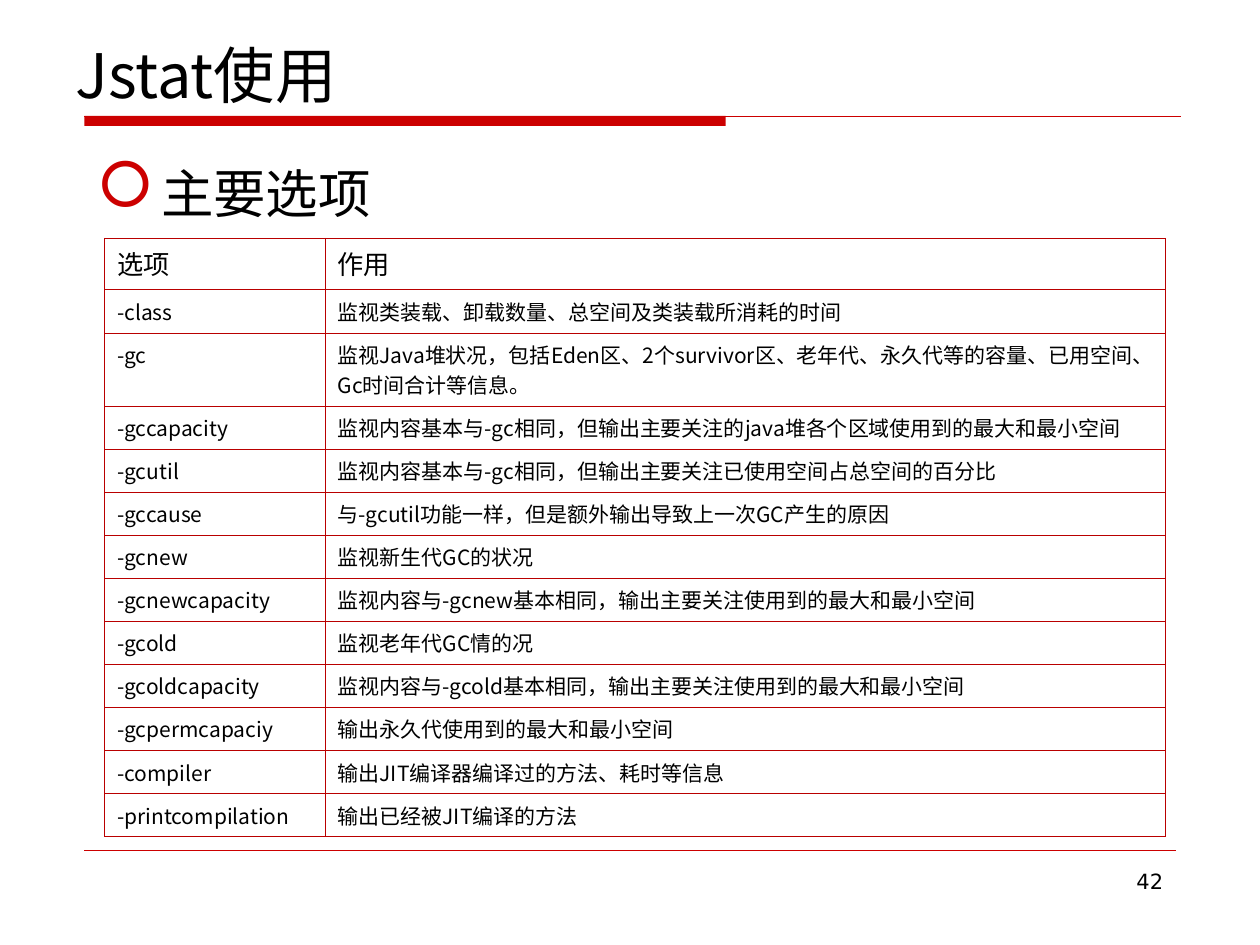
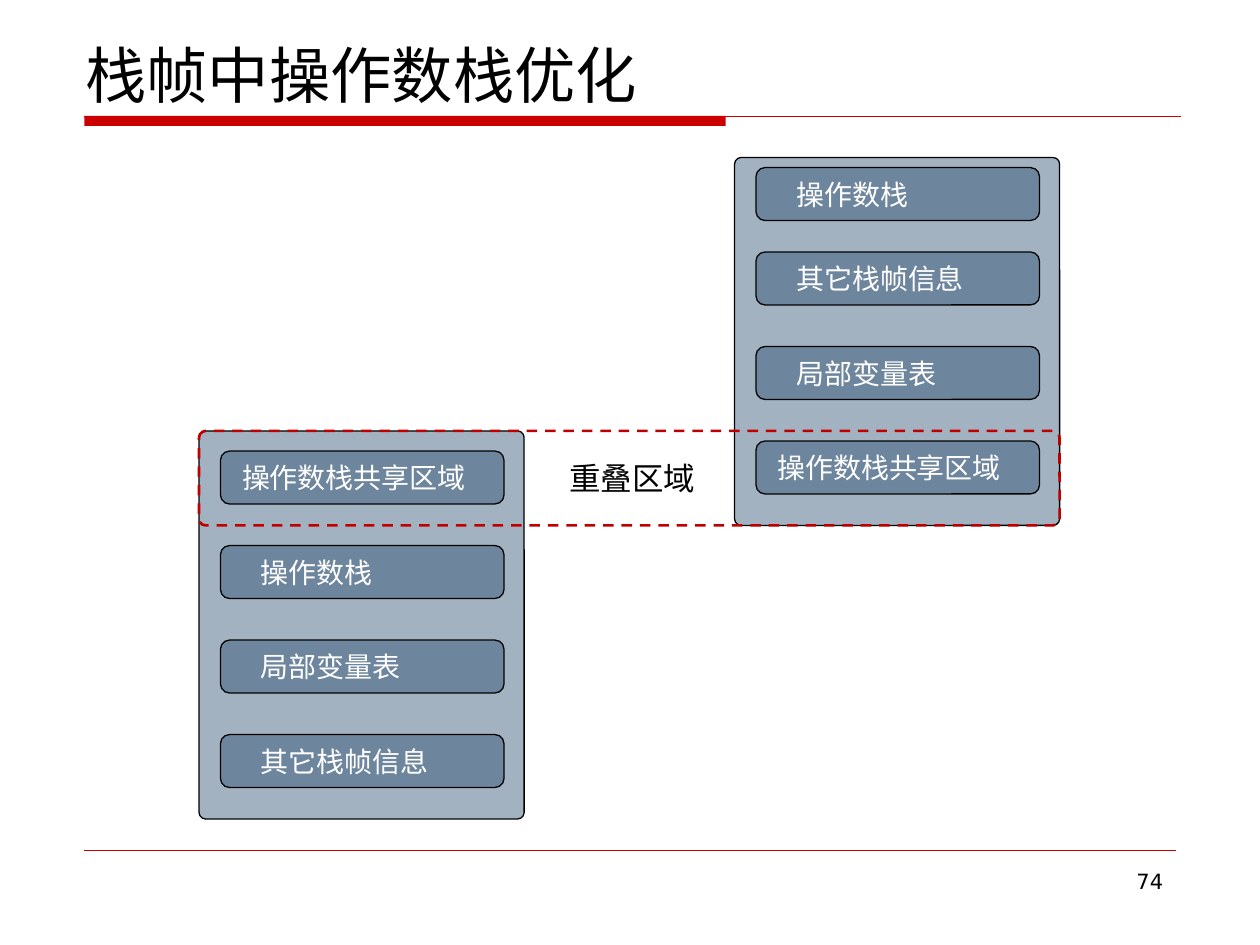
"""Build two slides: a table of jstat options and a diagram of overlapping stack frames."""
from lxml import etree
from pptx import Presentation, util as u
from pptx.dml.color import RGBColor
from pptx.enum import dml, shapes, text
from pptx.oxml.ns import qn

WIDE, HIGH = 10, 7.5
HUES = {"red": "CC0000", "edge": "B90000", "dash": "C00000", "panel": "A3B2C1",
        "box": "6E869D", "black": "000000", "white": "FFFFFF"}
CJK, SANS = "Noto Sans CJK SC", "DejaVu Sans"
LEFT, RULE, FOOT = 0.67, 0.92, 6.75
KIND = shapes.MSO_SHAPE

TABLE = {
    "title": ("Jstat使用", 0.5), "page": "42", "head": "主要选项",
    "at": (0.83, 1.89), "cols": (1.75, 6.67), "high": 4.75, "tall": {0: 0.41, 2: 0.58},
    "rows": [
        ("选项", "作用"),
        ("-class", "监视类装载、卸载数量、总空间及类装载所消耗的时间"),
        ("-gc", "监视Java堆状况，包括Eden区、2个survivor区、老年代、永久代等的容量、已用空间、Gc时间合计等信息。"),
        ("-gccapacity", "监视内容基本与-gc相同，但输出主要关注的java堆各个区域使用到的最大和最小空间"),
        ("-gcutil", "监视内容基本与-gc相同，但输出主要关注已使用空间占总空间的百分比"),
        ("-gccause", "与-gcutil功能一样，但是额外输出导致上一次GC产生的原因"),
        ("-gcnew", "监视新生代GC的状况"),
        ("-gcnewcapacity", "监视内容与-gcnew基本相同，输出主要关注使用到的最大和最小空间"),
        ("-gcold", "监视老年代GC情的况"),
        ("-gcoldcapacity", "监视内容与-gcold基本相同，输出主要关注使用到的最大和最小空间"),
        ("-gcpermcapaciy", "输出永久代使用到的最大和最小空间"),
        ("-compiler", "输出JIT编译器编译过的方法、耗时等信息"),
        ("-printcompilation", "输出已经被JIT编译的方法"),
    ],
}
SHARED = "操作数栈共享区域"
STACK = {
    "title": ("栈帧中操作数栈优化", 0.58), "page": "74", "label": "重叠区域",
    "panels": [
        {"at": (1.58, 3.42, 2.58, 3.08), "tops": [3.58 + 0.75 * i for i in range(4)],
         "names": (SHARED, "操作数栈", "局部变量表", "其它栈帧信息")},
        {"at": (5.83, 1.25, 2.58, 2.92), "tops": (1.33, 2, 2.75, 3.5),
         "names": ("操作数栈", "其它栈帧信息", "局部变量表", SHARED)},
    ],
    "zone": (1.58, 3.42, 6.83, 0.75),
}


def hue(name):
    return RGBColor.from_string(HUES[name])


def put(thing, **opts):
    for key, val in opts.items():
        setattr(thing, key, val)


def write(frame, words, size, color="black", font=CJK, **opts):
    put(frame, **{"word_wrap": True, **opts})
    run = frame.paragraphs[0].add_run()
    run.text = words
    put(run.font, size=u.Pt(size), name=font)
    run.font.color.rgb = hue(color)
    etree.SubElement(run._r.get_or_add_rPr(), qn("a:ea"), typeface=font)
    return frame.paragraphs[0]


def label(slide, at, words, size, **opts):
    box = slide.shapes.add_textbox(*map(u.Inches, at))
    return write(box.text_frame, words, size, **opts)


def block(slide, kind, at, fill=None, line=None, width=0.75, adj=None):
    shape = slide.shapes.add_shape(kind, *map(u.Inches, at))
    shape.shadow.inherit = False
    for part, color in ((shape.fill, fill), (shape.line.fill, line)):
        if color:
            part.solid()
            part.fore_color.rgb = hue(color)
        else:
            part.background()
    if line:
        shape.line.width = u.Pt(width)
    if adj:
        shape.adjustments[0] = adj
    return shape


def rule(slide, top, right):
    line = slide.shapes.add_connector(
        shapes.MSO_CONNECTOR.STRAIGHT, *map(u.Inches, (LEFT, top, right, top)))
    line.line.color.rgb = hue("red")
    line.line.width = u.Pt(0.25)
    etree.SubElement(line._element.spPr, qn("a:effectLst"))


def start(deck, data):
    slide = deck.slides.add_slide(deck.slide_layouts[6])
    block(slide, KIND.RECTANGLE, (LEFT, RULE, 5.09, 0.08), "red")
    rule(slide, RULE, 9.37)
    rule(slide, FOOT, 9.33)
    words, left = data["title"]
    label(slide, (left, 0.18, 8.75, 0.75), words, 35,
          vertical_anchor=text.MSO_ANCHOR.BOTTOM)
    page = label(slide, (7.17, 6.84, 2.16, 0.52), data["page"], 12, font=SANS)
    page.alignment = text.PP_ALIGN.RIGHT
    return slide


def bullet(para):
    props = para._p.get_or_add_pPr()
    for key, val in {"marL": 0.51, "indent": -0.51}.items():
        props.set(key, str(u.Inches(val)))
    color = etree.SubElement(props, qn("a:buClr"))
    etree.SubElement(color, qn("a:srgbClr"), val=HUES["red"])
    etree.SubElement(props, qn("a:buSzPct"), val="122000")
    etree.SubElement(props, qn("a:buFont"), typeface="Wingdings", charset="2")
    etree.SubElement(props, qn("a:buChar"), char="¡")


def border(cell):
    props = cell._tc.get_or_add_tcPr()
    for spot, side in enumerate(("lnL", "lnR", "lnT", "lnB")):
        line = etree.Element(qn("a:" + side), w=str(u.Pt(0.45)))
        fill = etree.SubElement(line, qn("a:solidFill"))
        etree.SubElement(fill, qn("a:srgbClr"), val=HUES["edge"])
        props.insert(spot, line)


def options(deck, data):
    slide = start(deck, data)
    bullet(label(slide, (LEFT, 1.23, 7.83, 0.7), data["head"], 30))
    rows, cols, tall = data["rows"], data["cols"], data["tall"]
    even = (data["high"] - sum(tall.values())) / (len(rows) - len(tall))
    size = (*data["at"], sum(cols), data["high"])
    grid = slide.shapes.add_table(len(rows), len(cols), *map(u.Inches, size)).table
    put(grid, first_row=False, horz_banding=False)
    for col, width in zip(grid.columns, cols):
        col.width = u.Inches(width)
    for r, row in enumerate(rows):
        grid.rows[r].height = u.Inches(tall.get(r, even))
        for c, words in enumerate(row):
            cell = grid.cell(r, c)
            cell.fill.background()
            border(cell)
            write(cell.text_frame, words, 12 if r else 15)


def frames(deck, data):
    slide = start(deck, data)
    kind = KIND.ROUNDED_RECTANGLE
    for panel in data["panels"]:
        block(slide, kind, panel["at"], "panel", "black", adj=0.02)
    for panel in data["panels"]:
        for top, name in zip(panel["tops"], panel["names"]):
            at = (panel["at"][0] + 0.17, top, 2.25, 0.42)
            box = block(slide, kind, at, "box", "black", adj=0.17)
            inset = 0.15 if name == SHARED else 0.3
            para = write(box.text_frame, name, 16, "white", margin_left=u.Inches(inset),
                         vertical_anchor=text.MSO_ANCHOR.MIDDLE)
            para.alignment = text.PP_ALIGN.LEFT
    zone = block(slide, kind, data["zone"], line="dash", width=1.5, adj=0.07)
    zone.line.dash_style = dml.MSO_LINE.DASH
    label(slide, (4.42, 3.59, 1.2, 0.46), data["label"], 18, word_wrap=False)


def main():
    deck = Presentation()
    put(deck, slide_width=u.Inches(WIDE), slide_height=u.Inches(HIGH))
    options(deck, TABLE)
    frames(deck, STACK)
    deck.save("out.pptx")


if __name__ == "__main__":
    main()
